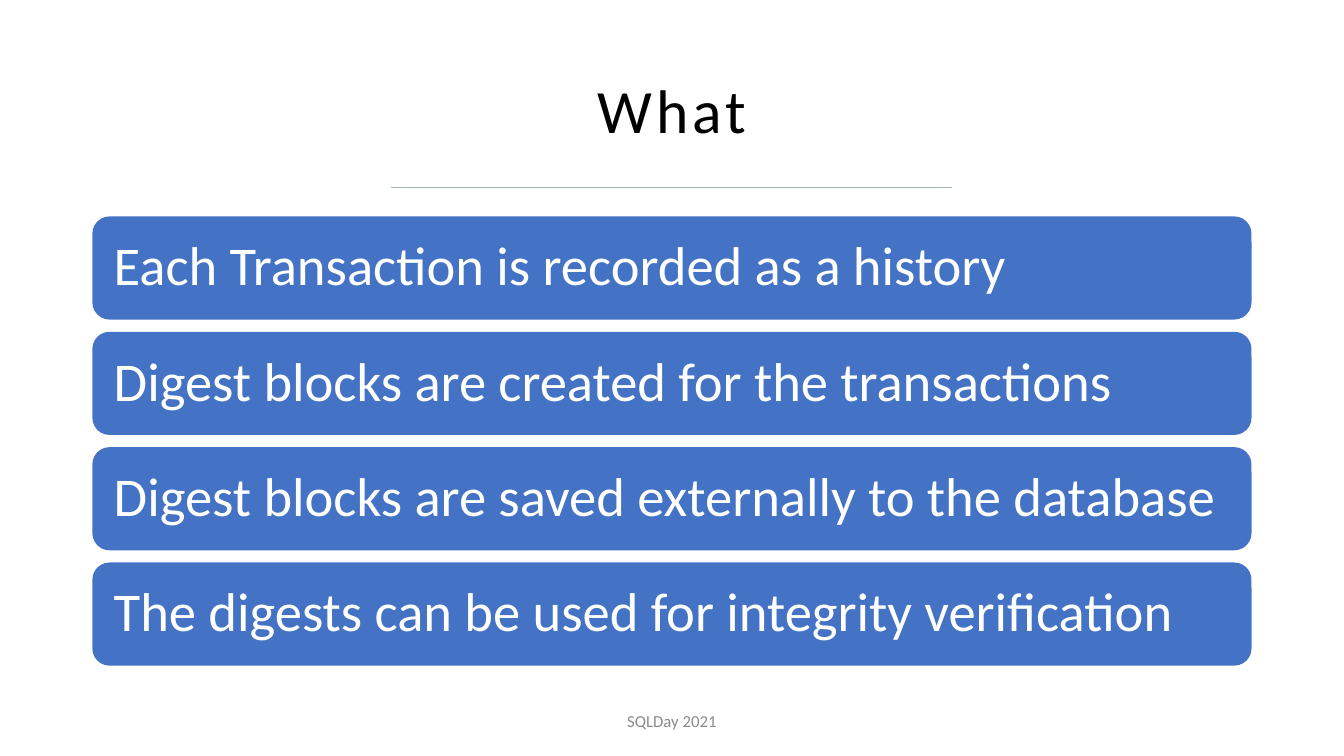
"""Build the "What" slide with four statement bars."""
from lxml import etree
from pptx import Presentation
from pptx.dml.color import RGBColor
from pptx.enum import shapes, text
from pptx.oxml.ns import qn
from pptx.util import Pt

BLACK = RGBColor(0x00, 0x00, 0x00)
WHITE = RGBColor(0xFF, 0xFF, 0xFF)
BLUE = RGBColor(0x44, 0x72, 0xC4)
GREY = RGBColor(0x8C, 0x8C, 0x8C)
RULE = RGBColor(0xA5, 0xB5, 0xB5)

LEFT, WIDTH = 66, 828
TOP, HEIGHT, PITCH = 154.6, 73.7, 82.4
POINTS = [
    "Each Transaction is recorded as a history",
    "Digest blocks are created for the transactions",
    "Digest blocks are saved externally to the database",
    "The digests can be used for integrity verification",
]


def write(frame, words, size, color, align, spacing=1.0):
    frame.word_wrap = True
    frame.auto_size = text.MSO_AUTO_SIZE.NONE
    frame.vertical_anchor = text.MSO_ANCHOR.MIDDLE
    para = frame.paragraphs[0]
    para.alignment = align
    para.line_spacing = spacing
    para.space_before = Pt(0)
    run = para.add_run()
    run.text = words
    run.font.name = "Calibri"
    run.font.size = Pt(size)
    run.font.color.rgb = color
    return run


deck = Presentation()
deck.slide_width, deck.slide_height = Pt(960), Pt(540)
slide = deck.slides.add_slide(deck.slide_layouts[5])

title = slide.shapes.title
title.left, title.top, title.width, title.height = Pt(LEFT), Pt(28.75), Pt(WIDTH), Pt(104.4)
run = write(title.text_frame, "What", 44, BLACK, text.PP_ALIGN.CENTER, 0.9)
run.font._element.set("spc", "300")

for row, point in enumerate(POINTS):
    bar = slide.shapes.add_shape(
        shapes.MSO_SHAPE.ROUNDED_RECTANGLE,
        Pt(LEFT), Pt(TOP + row * PITCH), Pt(WIDTH), Pt(HEIGHT))
    bar.shadow.inherit = False
    bar.fill.solid()
    bar.fill.fore_color.rgb = BLUE
    bar.line.fill.background()
    frame = bar.text_frame
    frame.margin_left = frame.margin_right = Pt(11.7)
    frame.margin_top = frame.margin_bottom = Pt(11.7)
    write(frame, point, 39, WHITE, text.PP_ALIGN.LEFT, 0.9)

foot = slide.shapes.add_textbox(Pt(318), Pt(500.5), Pt(324), Pt(28.75))
write(foot.text_frame, "SQLDay 2021", 12, GREY, text.PP_ALIGN.CENTER)

rule = slide.shapes.add_connector(
    shapes.MSO_CONNECTOR.STRAIGHT, Pt(279.5), Pt(134), Pt(680), Pt(134))
rule.line.color.rgb = RULE
rule.line.width = Pt(0.5)
etree.SubElement(rule._element.spPr, qn("a:effectLst"))

deck.save("out.pptx")
